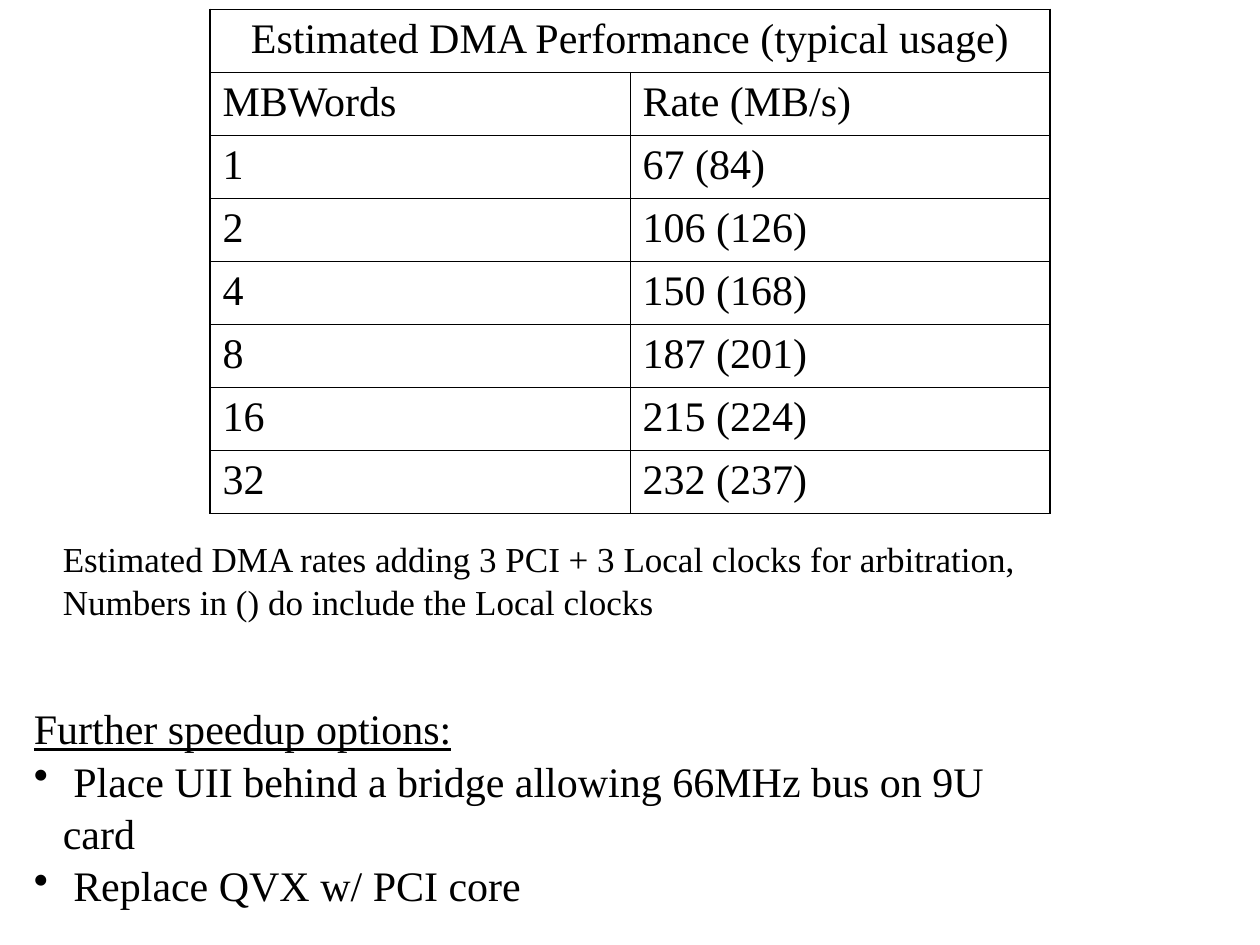
import pptx
import pptx.dml.color
import pptx.enum.text
import pptx.oxml
import pptx.oxml.ns
import pptx.util

WIDTH, HEIGHT = pptx.util.Inches(10), pptx.util.Inches(7.5)
COLORS = {"text": "000000", "border": "000000"}
FONT = "Times New Roman"
BODY = {"name": FONT, "size": pptx.util.Pt(24)}
NOTE = {"name": FONT, "size": pptx.util.Pt(20)}
HEADING = {**BODY, "underline": True}
OUTER, INNER = 1.08, 0.45
INDENT = pptx.util.Inches(0.23)
LINE_SPACING = 1.04

TITLE = "Estimated DMA Performance (typical usage)"
RATES = [
    ("MBWords", "Rate (MB/s)"),
    ("1", "67 (84)"),
    ("2", "106 (126)"),
    ("4", "150 (168)"),
    ("8", "187 (201)"),
    ("16", "215 (224)"),
    ("32", "232 (237)"),
]
NOTES = [
    "Estimated DMA rates adding 3 PCI + 3 Local clocks for arbitration,",
    "Numbers in () do include the Local clocks",
]
OPTIONS = [
    " Place UII behind a bridge allowing 66MHz bus on 9U card",
    " Replace QVX w/ PCI core",
]


def share(x, y, w, h):
    """Turn shares of the slide's size into lengths."""
    return int(x * WIDTH), int(y * HEIGHT), int(w * WIDTH), int(h * HEIGHT)


def add_text(p, text, style):
    r = p.add_run()
    r.text = text
    for key, value in style.items():
        setattr(r.font, key, value)
    r.font.color.rgb = pptx.dml.color.RGBColor.from_string(COLORS["text"])


def add_bullet(p):
    pPr = p._p.get_or_add_pPr()
    pPr.set("marL", str(INDENT))
    pPr.set("indent", str(-INDENT))
    bullet = pptx.oxml.parse_xml(
        f'<a:buChar {pptx.oxml.ns.nsdecls("a")} char="•"/>')
    pPr.append(bullet)


def add_box(slide, area, lines):
    """Add a text box from (text, style, bulleted) lines."""
    tf = slide.shapes.add_textbox(*share(*area)).text_frame
    tf.word_wrap = True
    for i, (text, style, bulleted) in enumerate(lines):
        p = tf.add_paragraph() if i else tf.paragraphs[0]
        p.line_spacing = LINE_SPACING
        if bulleted:
            add_bullet(p)
        add_text(p, text, style)


def set_borders(cell, widths):
    tcPr = cell._tc.get_or_add_tcPr()
    for side, width in widths.items():
        tcPr.append(pptx.oxml.parse_xml(
            f'<a:ln{side} {pptx.oxml.ns.nsdecls("a")} w="{pptx.util.Pt(width)}">'
            f'<a:solidFill><a:srgbClr val="{COLORS["border"]}"/></a:solidFill>'
            f'</a:ln{side}>'))


def add_rate_table(slide, area):
    rows = [(TITLE, "")] + RATES
    n_rows, n_cols = len(rows), len(rows[0])
    table = slide.shapes.add_table(n_rows, n_cols, *share(*area)).table
    table.first_row = table.horz_banding = False
    table.cell(0, 0).merge(table.cell(0, n_cols - 1))

    for i, row in enumerate(rows):
        for j, text in enumerate(row):
            cell = table.cell(i, j)
            # Heavier lines around the outside
            set_borders(cell, {
                "L": OUTER if j == 0 else INNER,
                "R": OUTER if j == n_cols - 1 or i == 0 else INNER,
                "T": OUTER if i == 0 else INNER,
                "B": OUTER if i == n_rows - 1 else INNER,
            })
            cell.fill.background()
            if text:
                add_text(cell.text_frame.paragraphs[0], text, BODY)
    title = table.cell(0, 0).text_frame.paragraphs[0]
    title.alignment = pptx.enum.text.PP_ALIGN.CENTER


def main():
    prs = pptx.Presentation()
    prs.slide_width, prs.slide_height = WIDTH, HEIGHT
    slide = prs.slides.add_slide(prs.slide_layouts[6])

    # Table of rates, two thirds of the slide wide
    add_rate_table(slide, (1 / 6, 0.01, 2 / 3, 8 / 15))

    # Note on the rates
    add_box(slide, (0.04, 0.56, 0.78, 0.1),
            [(text, NOTE, False) for text in NOTES])

    # Speedup options
    add_box(slide, (0.017, 0.735, 0.828, 0.23),
            [("Further speedup options:", HEADING, False)]
            + [(text, BODY, True) for text in OPTIONS])

    prs.save("out.pptx")


if __name__ == "__main__":
    main()
